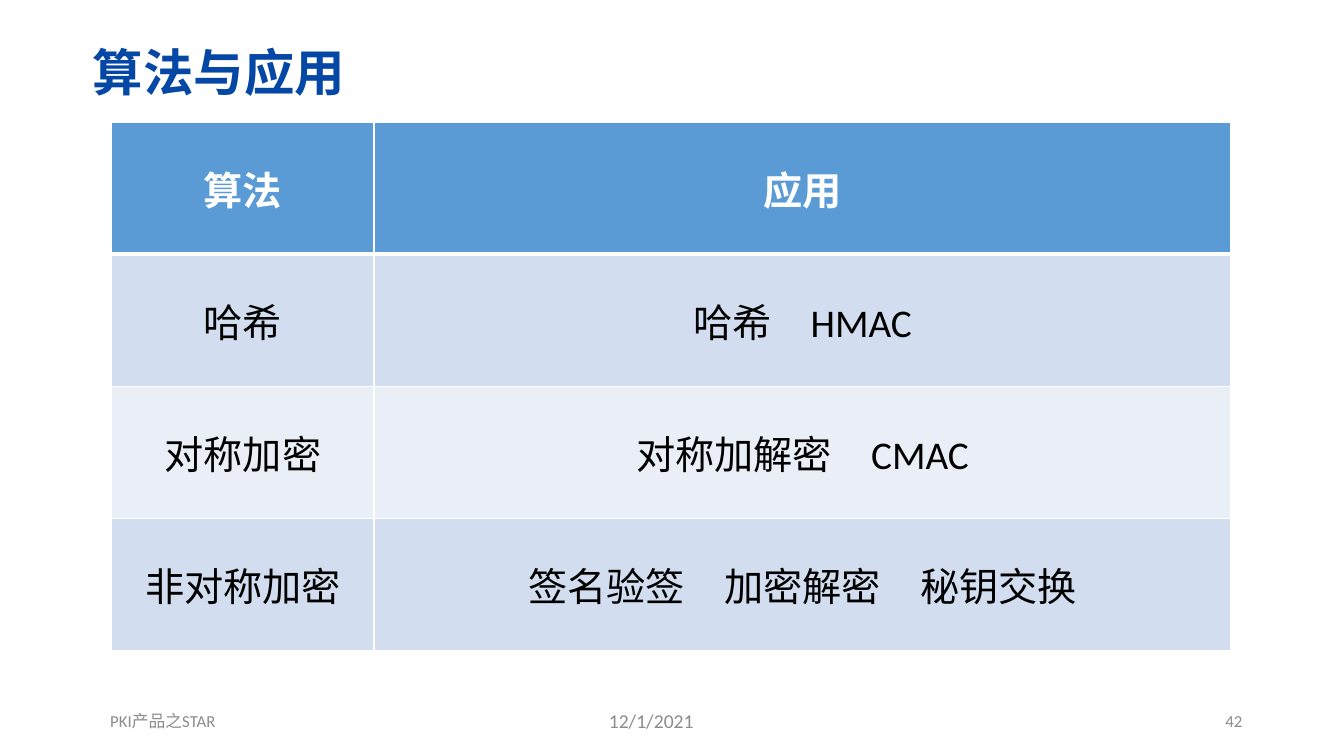
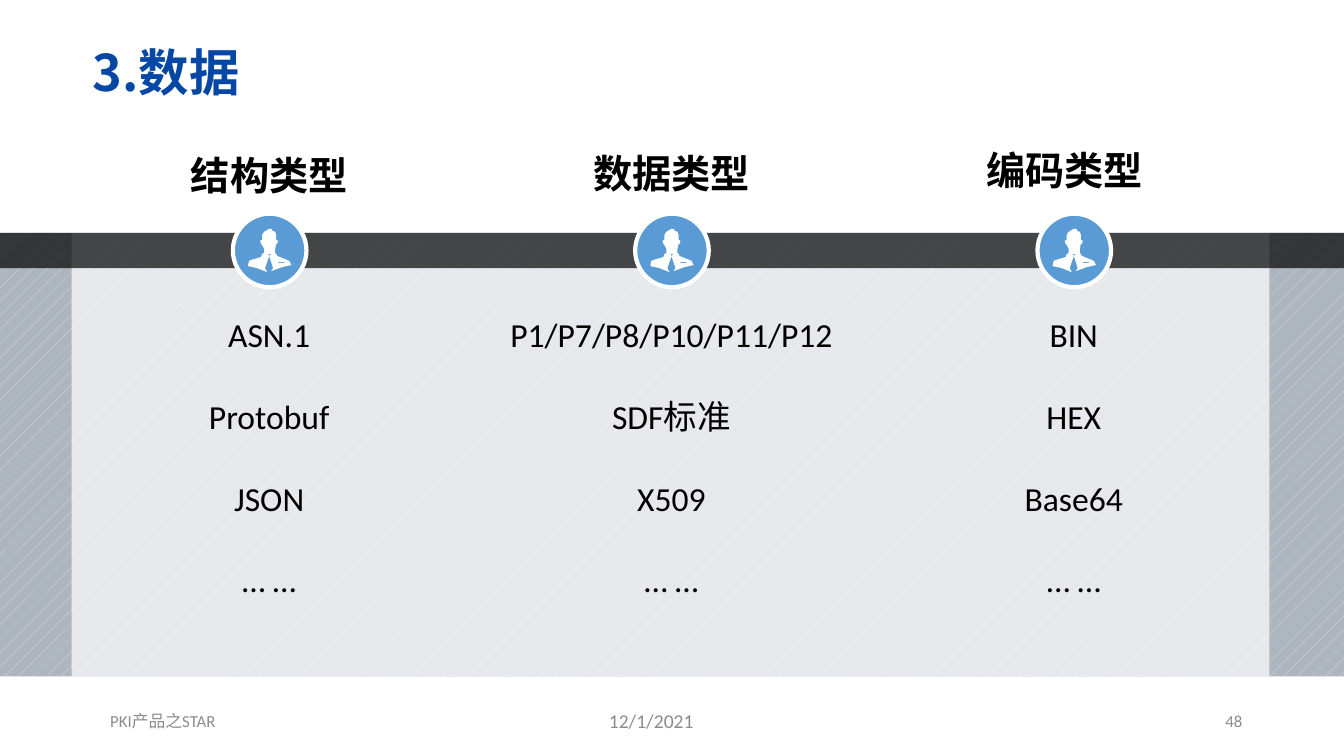
from lxml import etree
from pptx import Presentation
from pptx.dml.color import RGBColor
from pptx.enum.dml import MSO_PATTERN
from pptx.enum.shapes import MSO_SHAPE
from pptx.enum.text import MSO_ANCHOR, MSO_AUTO_SIZE, PP_ALIGN
from pptx.oxml.ns import qn
from pptx.util import Inches, Pt

LEFT, MID, RIGHT = PP_ALIGN.LEFT, PP_ALIGN.CENTER, PP_ALIGN.RIGHT
TOP, CENTRE, BOTTOM = MSO_ANCHOR.TOP, MSO_ANCHOR.MIDDLE, MSO_ANCHOR.BOTTOM
RECT, OVAL = MSO_SHAPE.RECTANGLE, MSO_SHAPE.OVAL
DOTS, FIXED = MSO_PATTERN.PERCENT_5, MSO_AUTO_SIZE.NONE

HUES = {
    "title": "0547A4", "foot": "8C8C8C", "ink": "000000", "white": "FFFFFF",
    "blue": "5B9BD5", "odd": "D2DEEF", "even": "EAEFF7",
    "grey": "ADB5BF", "pale": "E4E6EA",
}
RGB = {name: RGBColor.from_string(code) for name, code in HUES.items()}
HAN = "Noto Sans CJK SC"

# Text styles: font values plus colour
STYLES = {
    "title": ({"name": HAN, "size": Pt(36), "bold": True}, "title"),
    "date": ({"name": "Calibri", "size": Pt(14)}, "foot"),
    "foot": ({"name": "Calibri", "size": Pt(12)}, "foot"),
    "head": ({"name": "Calibri", "size": Pt(28), "bold": True}, "white"),
    "cell": ({"name": "Calibri", "size": Pt(28), "bold": False}, "ink"),
    "topic": ({"name": "Calibri", "size": Pt(28), "bold": True}, "ink"),
    "item": ({"name": "Calibri", "size": Pt(24)}, "ink"),
}


def write(frame, text, style, align, anchor, space=1.0):
    frame.vertical_anchor = anchor
    para = frame.paragraphs[0]
    para.alignment, para.line_spacing = align, space
    run = para.add_run()
    run.text = text
    values, hue = STYLES[style]
    for key, value in values.items():
        setattr(run.font, key, value)
    run.font.color.rgb = RGB[hue]
    etree.SubElement(run.font._element, qn("a:ea"), typeface=HAN)


def place(slide, box, text, style, align, anchor, space=1.0, wrap=True):
    frame = slide.shapes.add_textbox(*map(Inches, box)).text_frame
    frame.word_wrap = wrap
    write(frame, text, style, align, anchor, space)


deck = Presentation()
deck.slide_width, deck.slide_height = Inches(13.33), Inches(7.5)

# Shared title position
layout = deck.slide_layouts[5]
title = layout.placeholders[0]
title.left, title.top = Inches(0.82), Inches(0.49)
title.width, title.height = Inches(10.99), Inches(0.52)

# Titles and footers
slides = []
for text, page in [("算法与应用", "42"), ("3.数据", "48")]:
    slide = deck.slides.add_slide(layout)
    slides.append(slide)
    frame = slide.shapes.title.text_frame
    frame.auto_size = FIXED
    write(frame, text, "title", LEFT, CENTRE, 0.9)
    for left, width, note, style, align in [
        (5.94, 1.18, "12/1/2021", "date", LEFT),
        (0.82, 1.59, "PKI产品之STAR", "foot", MID),
        (9.42, 3, page, "foot", RIGHT),
    ]:
        place(slide, (left, 6.95, width, 0.4), note, style, align, CENTRE)

# Slide 1: table of algorithms and uses
rows = [
    ("算法", "应用"),
    ("哈希", "哈希　HMAC"),
    ("对称加密", "对称加解密　CMAC"),
    ("非对称加密", "签名验签　加密解密　秘钥交换"),
]
box = map(Inches, (1.11, 1.21, 11.1, 5.25))
table = slides[0].shapes.add_table(len(rows), 2, *box).table
for col, width in zip(table.columns, (2.6, 8.5)):
    col.width = Inches(width)
for r, row in enumerate(rows):
    for c, text in enumerate(row):
        cell = table.cell(r, c)
        write(cell.text_frame, text, "cell" if r else "head", MID, CENTRE)
        cell.vertical_anchor = CENTRE
        for side in "LRTB":
            thick = (r, side) in [(0, "B"), (1, "T")]
            edge = etree.SubElement(cell._tc.get_or_add_tcPr(), qn("a:ln" + side),
                                    w=str(Pt(3 if thick else 1)))
            paint = etree.SubElement(edge, qn("a:solidFill"))
            etree.SubElement(paint, qn("a:srgbClr"), val=HUES["white"])
        cell.fill.solid()
        hue = "blue" if r == 0 else "odd" if r % 2 else "even"
        cell.fill.fore_color.rgb = RGB[hue]

# Slide 2: hatched backdrop, pale panel and dark band
slide = slides[1]
for box, hue in [
    ((-0.01, 2.31, 13.35, 4.4), None),
    ((0.71, 2.31, 11.88, 4.4), "white"),
    ((-0.02, 2.31, 13.37, 0.35), "ink"),
]:
    panel = slide.shapes.add_shape(RECT, *map(Inches, box))
    panel.shadow.inherit = False
    panel.line.fill.background()
    if hue:
        panel.fill.solid()
        panel.fill.fore_color.rgb = RGB[hue]
        tint = panel.fill._xPr.find(".//" + qn("a:srgbClr"))
        etree.SubElement(tint, qn("a:alpha"), val="70000")
    else:
        panel.fill.patterned()
        panel.fill.pattern = DOTS
        panel.fill.fore_color.rgb = RGB["pale"]
        panel.fill.back_color.rgb = RGB["grey"]

# Person icon, in hundredths of an inch
BUST = [
    (41, 32), (39, 31), (29, 27), (28, 25), (27, 24), (27, 20), (28, 15),
    (29, 15), (30, 12), (28, 11), (28, 6), (27, 3), (24, 2), (24, 0),
    (21, 0), (16, 3), (14, 6), (14, 11), (12, 12), (13, 15), (14, 16),
    (16, 20), (16, 24), (14, 25), (13, 28), (3, 31), (1, 32), (0, 37),
    (9, 39), (19, 43), (17, 39), (21, 27), (20, 25), (23, 25), (21, 27),
    (25, 39), (23, 42), (34, 38), (43, 36),
]
BADGE = [(36, 34), (30, 34), (30, 33), (36, 33)]

# Columns: heading, its offset, its bottom edge, items
topics = [
    ("结构类型", 0, 2.02, ["ASN.1", "Protobuf", "JSON", "… …"]),
    ("数据类型", 0, 2, ["P1/P7/P8/P10/P11/P12", "SDF标准", "X509", "… …"]),
    ("编码类型", -0.09, 1.97, ["BIN", "HEX", "Base64", "… …"]),
]
for n, (topic, shift, base, items) in enumerate(topics):
    mid = 2.67 + 3.99 * n
    disc = slide.shapes.add_shape(OVAL, Inches(mid - 0.36), Inches(2.12),
                                  Inches(0.73), Inches(0.73))
    pen = slide.shapes.build_freeform(*BUST[0], scale=Inches(0.01))
    pen.add_line_segments(BUST[1:])
    pen.move_to(*BADGE[0])
    pen.add_line_segments(BADGE[1:])
    bust = pen.convert_to_shape(Inches(mid - 0.21), Inches(2.27))
    for shape, hue in [(disc, "blue"), (bust, "white")]:
        shape.shadow.inherit = False
        shape.fill.solid()
        shape.fill.fore_color.rgb = RGB[hue]
    disc.line.color.rgb = RGB["white"]
    disc.line.width = Pt(3)
    bust.line.fill.background()

    left = mid - 1.95
    place(slide, (left + shift, base - 0.53, 3.9, 0.53), topic, "topic",
          MID, BOTTOM, wrap=False)
    for i, item in enumerate(items):
        place(slide, (left, 2.99 + 0.81 * i, 3.9, 0.66), item, "item",
              MID, TOP, 1.2)

deck.save("out.pptx")
